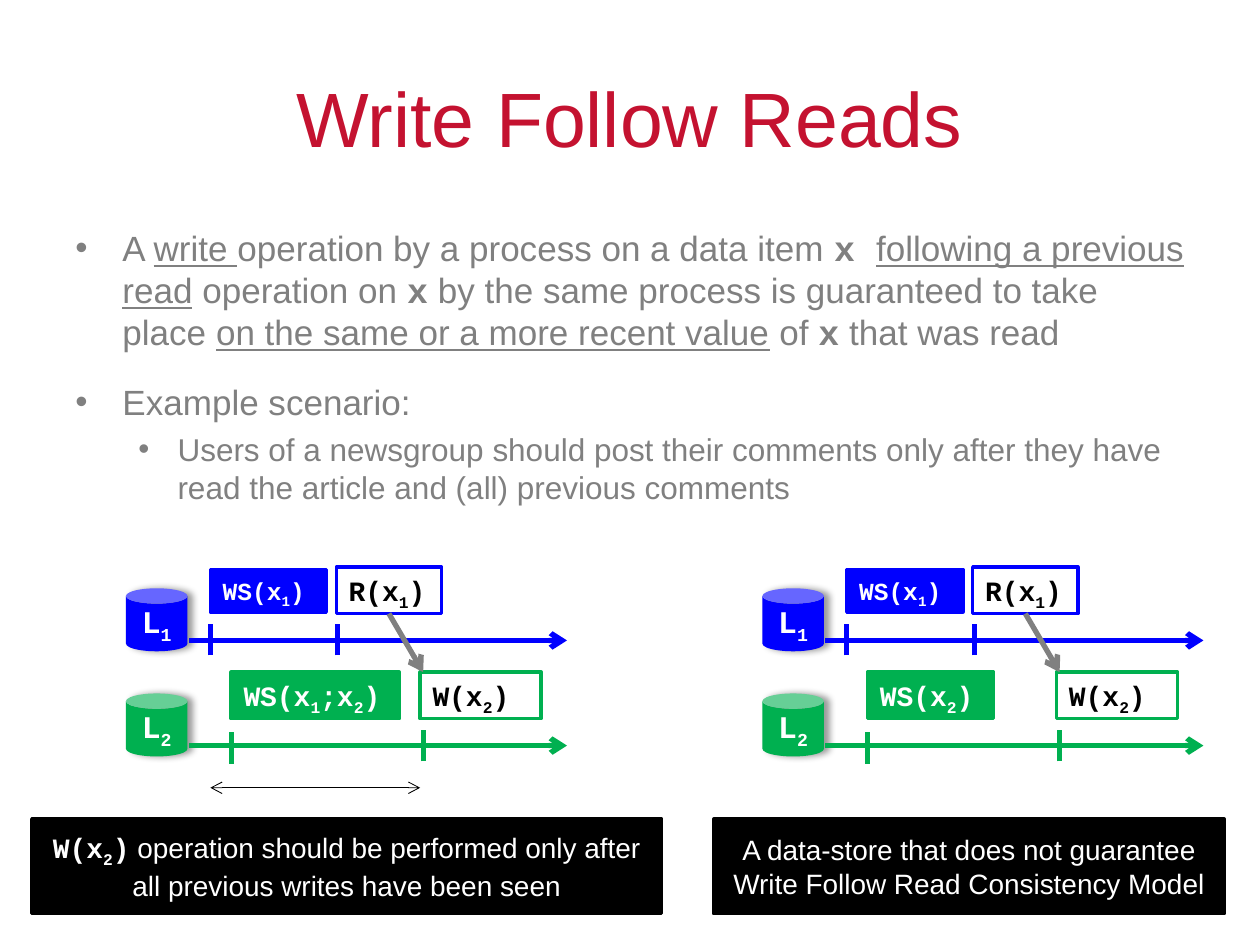
from dataclasses import dataclass
from itertools import groupby

from lxml.etree import SubElement
from pptx import Presentation
from pptx.dml.color import RGBColor
from pptx.enum.shapes import MSO_CONNECTOR, MSO_SHAPE
from pptx.enum.text import MSO_ANCHOR, PP_ALIGN
from pptx.oxml.ns import qn
from pptx.util import Cm, Pt


@dataclass(frozen=True)
class Theme:
    red: str = "C41230"
    grey: str = "808080"
    blue: str = "0000FF"
    green: str = "00B050"
    black: str = "000000"
    white: str = "FFFFFF"
    sans: str = "Arial"
    mono: str = "Courier New"
    title: int = 44
    body: int = 20
    detail: int = 18
    label: int = 16
    small: int = 14


THEME = Theme()
LANE_GAP = 2.12


def add_span(para, text, size, color, mono=False, underline=False, sub=False):
    span = para.add_run()
    span.text = text
    font = span.font
    font.name = THEME.mono if mono else THEME.sans
    font.size = Pt(size)
    font.bold = mono
    font.underline = underline
    font.color.rgb = RGBColor.from_string(color)
    if sub:
        span._r.get_or_add_rPr().set("baseline", "-25000")


def add_formula(para, formula, size, color):
    for is_digit, letters in groupby(formula, str.isdigit):
        add_span(para, "".join(letters), size, color, mono=True, sub=is_digit)


def add_text_box(page, left, top, width, height):
    frame = page.shapes.add_textbox(Cm(left), Cm(top), Cm(width), Cm(height)).text_frame
    frame.word_wrap = True
    return frame


def add_box(page, kind, left, top, width, height, fill, outline=None):
    box = page.shapes.add_shape(kind, Cm(left), Cm(top), Cm(width), Cm(height))
    box.shadow.inherit = False
    box.fill.solid()
    box.fill.fore_color.rgb = RGBColor.from_string(fill)
    if outline:
        box.line.color.rgb = RGBColor.from_string(outline)
        box.line.width = Pt(2)
    else:
        box.line.fill.background()
    box.text_frame.word_wrap = True
    return box


def add_line(page, start, end, color, width=3, arrows=()):
    line = page.shapes.add_connector(
        MSO_CONNECTOR.STRAIGHT, *(Cm(value) for value in (*start, *end)))
    line.line.color.rgb = RGBColor.from_string(color)
    line.line.width = Pt(width)
    for arrow in arrows:
        SubElement(line.line._get_or_add_ln(), qn(f"a:{arrow}"), type="arrow")
    SubElement(line._element.spPr, qn("a:effectLst"))
    return line


def add_bullet(para, left, hanging):
    properties = para._p.get_or_add_pPr()
    properties.set("marL", str(Cm(left)))
    properties.set("indent", str(-Cm(hanging)))
    SubElement(properties, qn("a:buFont"), typeface=THEME.sans)
    SubElement(properties, qn("a:buChar"), char="•")


def add_title(page, left, top, width, height):
    frame = add_text_box(page, left, top, width, height)
    frame.vertical_anchor = MSO_ANCHOR.MIDDLE
    para = frame.paragraphs[0]
    para.alignment = PP_ALIGN.CENTER
    add_span(para, "Write Follow Reads", THEME.title, THEME.red)


def add_body(page, left, top, width, height):
    definition = [
        ("A ", {}),
        ("write ", {"underline": True}),
        ("operation by a process on a data item ", {}),
        ("x ", {"mono": True}),
        ("following a previous read", {"underline": True}),
        (" operation on ", {}),
        ("x", {"mono": True}),
        (" by the same process is guaranteed to take place ", {}),
        ("on the same or a more recent value", {"underline": True}),
        (" of ", {}),
        ("x", {"mono": True}),
        (" that was read", {}),
    ]
    example = [("Example scenario:", {})]
    detail = [("Users of a newsgroup should post their comments only after they have "
               "read the article and (all) previous comments", {})]
    frame = add_text_box(page, left, top, width, height)
    items = [
        (definition, 0, 0, 0.95, 0.95, THEME.body),
        (example, 0, 16, 0.95, 0.95, THEME.body),
        (detail, 1, 4, 2.06, 0.79, THEME.detail),
    ]
    for index, (spans, level, before, indent, hanging, size) in enumerate(items):
        para = frame.add_paragraph() if index else frame.paragraphs[0]
        para.level = level
        para.space_before = Pt(before)
        add_bullet(para, indent, hanging)
        for text, style in spans:
            add_span(para, text, size, THEME.grey, **style)


def add_store(page, left, top, name, color):
    can = add_box(page, MSO_SHAPE.CAN, left, top, 1.24, 1.27, color)
    effects = can._element.spPr.find(qn("a:effectLst"))
    shadow = SubElement(effects, qn("a:outerShdw"), blurRad=str(Pt(4)),
                        dist=str(Pt(3)), dir="0", rotWithShape="0")
    tint = SubElement(shadow, qn("a:srgbClr"), val=THEME.black)
    SubElement(tint, qn("a:alpha"), val="40000")
    can.text_frame.vertical_anchor = MSO_ANCHOR.MIDDLE
    para = can.text_frame.paragraphs[0]
    para.alignment = PP_ALIGN.CENTER
    add_formula(para, name, THEME.detail, THEME.white)


def add_operation(page, left, top, width, height, formula, color, filled, size=THEME.label):
    fill, ink = (color, THEME.white) if filled else (THEME.white, THEME.black)
    box = add_box(page, MSO_SHAPE.RECTANGLE, left, top, width, height, fill, color)
    box.text_frame.margin_right = 0
    box.text_frame.vertical_anchor = MSO_ANCHOR.TOP
    para = box.text_frame.paragraphs[0]
    para.alignment = PP_ALIGN.LEFT
    add_formula(para, formula, size, ink)
    return box


def add_lane(page, left, top, name, color, ticks):
    add_store(page, left, top + 0.43, name, color)
    axis = top + 1.48
    add_line(page, (left + 1.27, axis), (left + 8.89, axis), color, arrows=["tailEnd"])
    for across, down in ticks:
        add_line(page, (left + across, top + down + 0.64), (left + across, top + down), color)


def add_timeline(page, left, top, second_write_set, second_width):
    lower = top + LANE_GAP
    add_lane(page, left, top, "L1", THEME.blue, [(1.7, 1.14), (4.27, 1.14)])
    add_lane(page, left, lower, "L2", THEME.green, [(2.12, 1.21), (5.99, 1.16)])
    add_operation(page, left + 1.7, top + 0.05, 2.34, 0.86, "WS(x1)",
                  THEME.blue, True, THEME.small)
    read = add_operation(page, left + 4.24, top, 2.12, 0.94, "R(x1)", THEME.blue, False)
    add_operation(page, left + 2.12, lower, second_width, 0.94, second_write_set,
                  THEME.green, True)
    add_operation(page, left + 5.93, lower, 2.44, 0.94, "W(x2)", THEME.green, False)
    follow = add_line(page, (left + 5.3, top + 0.94), (left + 5.99, lower),
                      THEME.grey, arrows=["tailEnd"])
    follow.begin_connect(read, 2)


def add_caption(page, left, top, width, height, text, formula=""):
    box = add_box(page, MSO_SHAPE.RECTANGLE, left, top, width, height,
                  THEME.black, THEME.black)
    box.text_frame.vertical_anchor = MSO_ANCHOR.MIDDLE
    para = box.text_frame.paragraphs[0]
    para.alignment = PP_ALIGN.CENTER
    add_formula(para, formula, THEME.label, THEME.white)
    add_span(para, text, THEME.label, THEME.white)


def main():
    deck = Presentation()
    deck.slide_width, deck.slide_height = Cm(25.4), Cm(19.05)
    page = deck.slides.add_slide(deck.slide_layouts[6])
    add_title(page, 1.27, 0.76, 22.86, 3.18)
    add_body(page, 1.27, 4.45, 22.86, 6.8)
    add_timeline(page, 2.54, 11.43, "WS(x1;x2)", 3.39)
    add_timeline(page, 15.37, 11.43, "WS(x2)", 2.54)
    add_line(page, (4.24, 15.88), (8.47, 15.88), THEME.black, 0.5, ["headEnd", "tailEnd"])
    add_caption(page, 0.64, 16.51, 12.7, 1.91,
                " operation should be performed only after all previous writes have been seen",
                "W(x2)")
    add_caption(page, 14.39, 16.51, 10.29, 1.91,
                "A data-store that does not guarantee Write Follow Read Consistency Model")
    deck.save("out.pptx")


if __name__ == "__main__":
    main()
